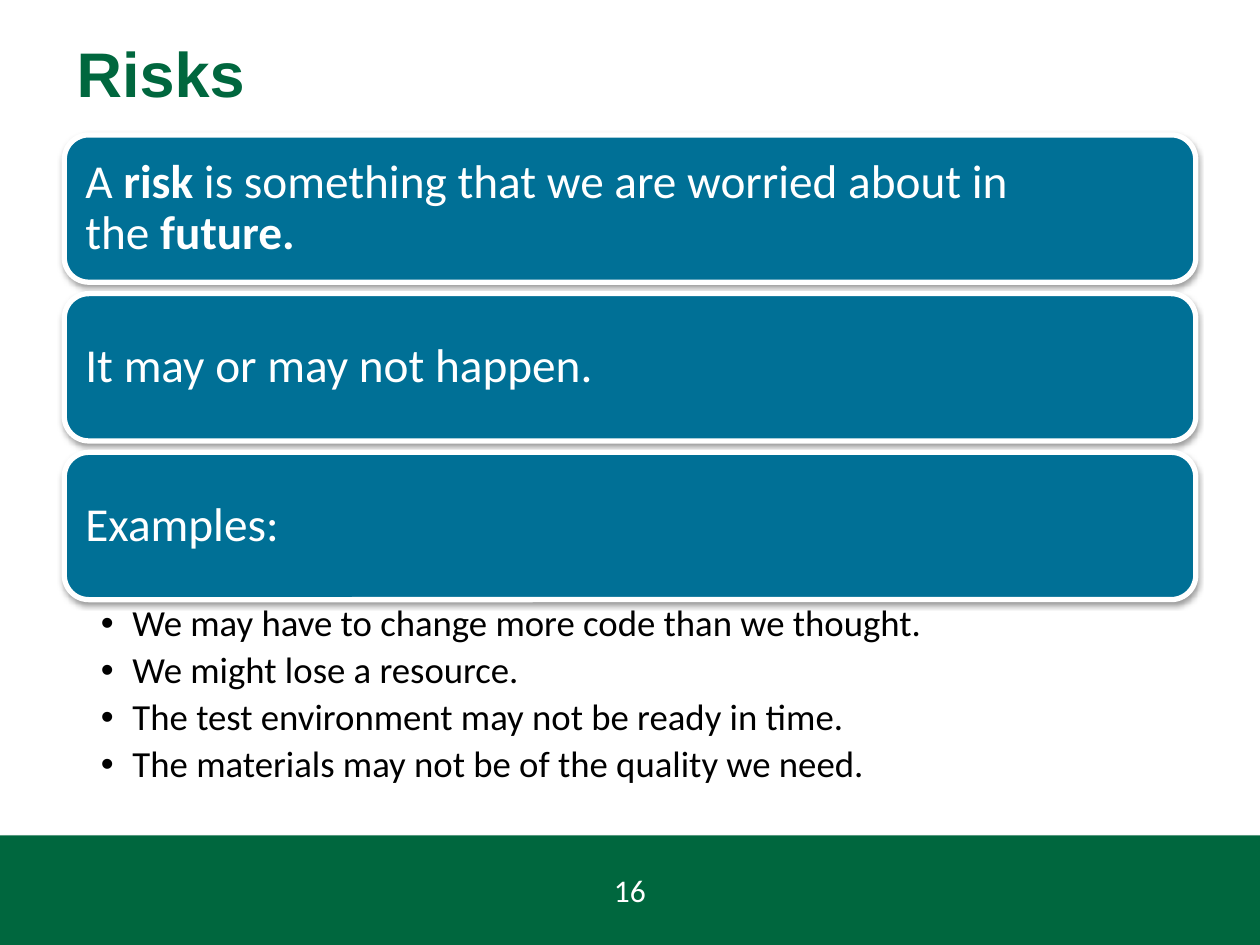
from lxml.etree import SubElement
from pptx import Presentation
from pptx.dml.color import RGBColor
from pptx.enum.shapes import MSO_SHAPE as Shape
from pptx.enum.text import MSO_ANCHOR as Anchor, PP_ALIGN as Align
from pptx.oxml.ns import qn
from pptx.util import Pt

GREEN = RGBColor(0x00, 0x67, 0x3E)
BLUE = RGBColor(0x00, 0x70, 0x96)
WHITE = RGBColor(0xFF, 0xFF, 0xFF)
BLACK = RGBColor(0x00, 0x00, 0x00)
NBSP = chr(160)  # keeps "the future." together on one line

LEFT, WIDTH = 36.7, 646.6
CARD_TOP, CARD_HEIGHT, CARD_STEP = 77.1, 84.2, 90.7

CARDS = [
    [(f"A{NBSP}", False), ("risk", True),
     (f"{NBSP}is something that we are worried about in the{NBSP}", False),
     (f"future.{NBSP}", True)],
    [("It may or may not happen.", False)],
    [("Examples:", False)],
]
EXAMPLES = [
    "We may have to change more code than we thought.",
    "We might lose a resource.",
    "The test environment may not be ready in time.",
    "The materials may not be of the quality we need.",
]


def set_all(target, values):
    for name, value in values.items():
        setattr(target, name, value)


class SlideBuilder:
    title_font = {"name": "Arial", "size": Pt(36), "bold": True}
    card_font = {"name": "Calibri", "size": Pt(27)}
    list_font = {"name": "Calibri", "size": Pt(21)}
    number_font = {"name": "Calibri", "size": Pt(18)}

    def __init__(self, page):
        self.page = page

    def frame(self, box, insets, anchor=Anchor.TOP):
        left, top, right, bottom = map(Pt, insets)
        set_all(box.text_frame, {
            "word_wrap": True, "vertical_anchor": anchor,
            "margin_left": left, "margin_top": top,
            "margin_right": right, "margin_bottom": bottom})
        return box.text_frame

    def span(self, para, text, font, color, **extra):
        span = para.add_run()
        span.text = text
        set_all(span.font, {**font, **extra})
        span.font.color.rgb = color

    def text_box(self, top, height, insets):
        box = self.page.shapes.add_textbox(Pt(LEFT), Pt(top), Pt(WIDTH), Pt(height))
        return self.frame(box, insets)

    def panel(self, kind, bounds, color, shade, distance):
        box = self.page.shapes.add_shape(kind, *map(Pt, bounds))
        box.fill.solid()
        box.fill.fore_color.rgb = color
        box.line.fill.background()
        box.shadow.inherit = False
        # Soft shadow straight below
        effects = box._element.spPr.find(qn("a:effectLst"))
        shadow = SubElement(effects, qn("a:outerShdw"), blurRad=str(Pt(3.1)),
                            dist=str(Pt(distance)), dir="5400000", rotWithShape="0")
        tint = SubElement(shadow, qn("a:srgbClr"), val=str(BLACK))
        SubElement(tint, qn("a:alpha"), val=str(shade * 1000))
        return box

    def footer(self, number):
        box = self.panel(Shape.RECTANGLE, (0, 477.4, 720, 62.6), GREEN, 35, 1.8)
        para = self.frame(box, (7.2, 3.6, 7.2, 3.6), Anchor.MIDDLE).paragraphs[0]
        para.alignment = Align.CENTER
        self.span(para, number, self.number_font, WHITE)

    def title(self, text):
        para = self.text_box(11.5, 94.3, (7.2, 8, 7.2, 3.6)).paragraphs[0]
        self.span(para, text, self.title_font, GREEN)

    def card(self, top, spans):
        box = self.panel(Shape.ROUNDED_RECTANGLE, (LEFT, top, WIDTH, CARD_HEIGHT),
                         BLUE, 38, 1.6)
        box.line.color.rgb = WHITE
        box.line.width = Pt(3)
        para = self.frame(box, (8, 8, 8, 8), Anchor.MIDDLE).paragraphs[0]
        set_all(para, {"alignment": Align.LEFT, "line_spacing": 0.9})
        for text, bold in spans:
            self.span(para, text, self.card_font, WHITE, bold=bold)

    def bullets(self, top, items):
        frame = self.text_box(top, 114.5, (21, 3, 15, 3))
        for index, item in enumerate(items):
            para = frame.add_paragraph() if index else frame.paragraphs[0]
            set_all(para, {"level": 1, "line_spacing": 0.9, "space_after": Pt(4.2)})
            properties = para._p.get_or_add_pPr()
            properties.set("marL", str(Pt(18)))
            properties.set("indent", str(-Pt(18)))
            SubElement(properties, qn("a:buFont"), typeface="Arial")
            SubElement(properties, qn("a:buChar"), char="•")
            self.span(para, item, self.list_font, BLACK)


def main():
    deck = Presentation()
    set_all(deck, {"slide_width": Pt(720), "slide_height": Pt(540)})
    builder = SlideBuilder(deck.slides.add_slide(deck.slide_layouts[6]))

    # Footer band and heading
    builder.footer("16")
    builder.title("Risks")

    # Statement cards, evenly stacked
    for row, spans in enumerate(CARDS):
        builder.card(CARD_TOP + row * CARD_STEP, spans)

    # Examples directly below the last card
    builder.bullets(CARD_TOP + 2 * CARD_STEP + CARD_HEIGHT, EXAMPLES)

    deck.save("out.pptx")


if __name__ == "__main__":
    main()
